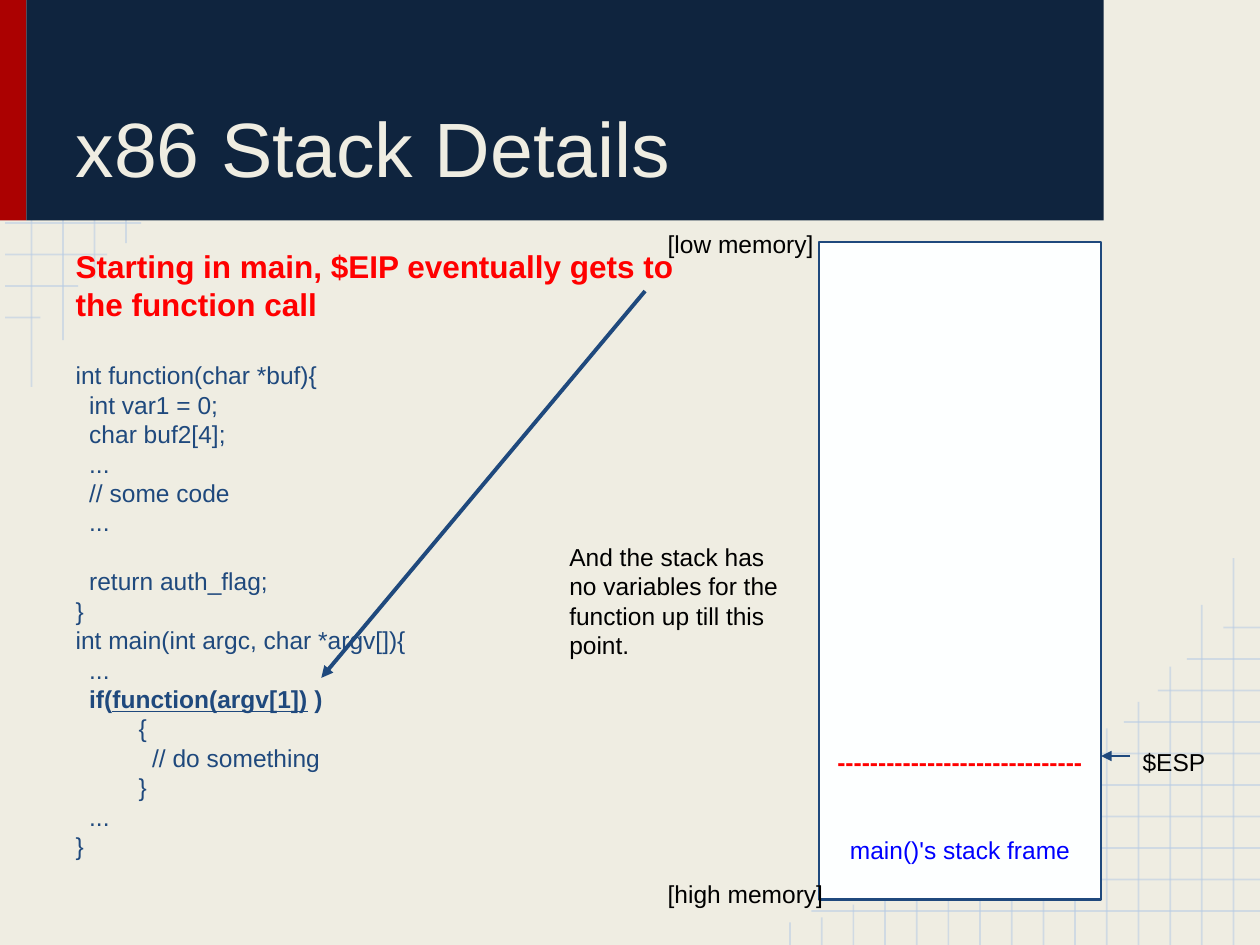
import pptx
import pptx.dml.color
import pptx.enum.shapes
import pptx.enum.text
import pptx.oxml
import pptx.oxml.ns
import pptx.util

Inches = pptx.util.Inches
Pt = pptx.util.Pt
ANCHOR = pptx.enum.text.MSO_ANCHOR
ALIGN = pptx.enum.text.PP_ALIGN

CREAM, NAVY, BLUE, BLACK = "EFEDE2", "0F243E", "1F497D", "000000"
RED, GRID_BLUE = "FF0000", "B7CCE4"
GRID_STEP = 0.25
CODE_SIZE = 14

CODE_LINES = [
    "int function(char *buf){",
    "  int var1 = 0;",
    "  char buf2[4];",
    "  ...",
    "  // some code",
    "  ...",
    "  return auth_flag;",
    "}",
    "int main(int argc, char *argv[]){",
    "  ...",
    "  if(function(argv[1]) )",
    "{",
    "\t  // do something",
    "\t}",
    "  ...",
    "}",
]


def rgb(color):
    return pptx.dml.color.RGBColor.from_string(color)


def sub_element(parent, tag, **attributes):
    child = parent.makeelement(pptx.oxml.ns.qn(tag), attributes)
    parent.append(child)
    return child


def add_line(slide, start, end, color, width, opacity=None, arrow=False):
    """Draw a straight line between two (x, y) points in inches."""
    line = slide.shapes.add_connector(
        pptx.enum.shapes.MSO_CONNECTOR.STRAIGHT,
        *(Inches(value) for value in (*start, *end)))
    line.line.color.rgb = rgb(color)
    line.line.width = Pt(width)
    properties = line.element.spPr
    if opacity:
        color_element = properties.find(".//" + pptx.oxml.ns.qn("a:srgbClr"))
        sub_element(color_element, "a:alpha", val=str(opacity * 1000))
    if arrow:
        sub_element(line.line._get_or_add_ln(), "a:tailEnd", type="triangle")
    sub_element(properties, "a:effectLst")


def add_rectangle(slide, box, fill, outline=None):
    rectangle = slide.shapes.add_shape(
        pptx.enum.shapes.MSO_SHAPE.RECTANGLE, *(Inches(value) for value in box))
    rectangle.shadow.inherit = False
    rectangle.fill.solid()
    rectangle.fill.fore_color.rgb = rgb(fill)
    if outline:
        rectangle.line.color.rgb = rgb(outline)
        rectangle.line.width = Pt(1.5)
    else:
        rectangle.line.fill.background()
    return rectangle


def set_frame(shape, anchor=ANCHOR.TOP):
    frame = shape.text_frame
    frame.word_wrap = True
    frame.auto_size = pptx.enum.text.MSO_AUTO_SIZE.NONE
    frame.vertical_anchor = anchor
    frame.margin_left = frame.margin_right = Inches(0.1)
    frame.margin_top = frame.margin_bottom = Inches(0.1)
    return frame


def add_run(paragraph, text, size, color, bold=False, underline=False):
    run = paragraph.add_run()
    run.text = text
    run.font.name = "Arial"
    run.font.size = Pt(size)
    run.font.color.rgb = rgb(color)
    run.font.bold = bold
    run.font.underline = underline


def add_paragraph(frame, first=False, size=CODE_SIZE, before=0, align=ALIGN.LEFT):
    paragraph = frame.paragraphs[0] if first else frame.add_paragraph()
    paragraph.alignment = align
    paragraph.line_spacing = Pt(line_height(size))
    paragraph.space_before = Pt(before)
    paragraph.space_after = Pt(0)
    return paragraph


def line_height(size):
    return round(size * 1.2, 1)


def add_label(slide, box, text):
    label = slide.shapes.add_textbox(*(Inches(value) for value in box))
    paragraph = add_paragraph(set_frame(label), first=True)
    add_run(paragraph, text, CODE_SIZE, BLACK)


def remove_bullet(paragraph, indent=0):
    properties = paragraph._p.get_or_add_pPr()
    properties.set("marL", "0")
    properties.set("indent", str(Inches(indent)))
    sub_element(properties, "a:buNone")


def place(placeholder, box):
    """Position a placeholder and bring it in front of what is drawn so far."""
    placeholder.left, placeholder.top, placeholder.width, placeholder.height = (
        Inches(value) for value in box)
    placeholder.element.getparent().append(placeholder.element)


def add_grids(slide):
    lines = []
    for row, right in enumerate([1.12, 0.85, 0.62, 0.32]):
        y = 1.77 + row * GRID_STEP
        lines.append(((0.04, y), (right, y)))
    for column, bottom in enumerate([3.07, 2.7, 2.21, 1.93], start=1):
        x = column * GRID_STEP
        lines.append(((x, bottom), (x, 1.7)))

    row_starts = [6.44, 7.08, 7.63, 7.96, 8.37, 8.67, 8.92, 9.19, 9.42, 9.71]
    for row, left in enumerate(row_starts):
        y = 7.23 - row * GRID_STEP
        lines.append(((10, y), (left, y)))
    column_tops = [4.43, 4.8, 5.29, 5.57, 5.78, 5.95, 6.19, 6.35,
                   6.54, 6.68, 6.86, 7.07, 7.18, 7.28, 7.32]
    column_step = (9.79 - 6.27) / (len(column_tops) - 1)
    for column, top in enumerate(column_tops):
        x = 9.79 - column * column_step
        lines.append(((x, top), (x, 7.5)))

    for start, end in lines:
        add_line(slide, start, end, GRID_BLUE, 1, opacity=54)


def fill_title(title):
    place(title, (0.5, 0.15, 8, 1.48))
    paragraph = set_frame(title, ANCHOR.BOTTOM).paragraphs[0]
    paragraph.alignment = ALIGN.LEFT
    add_run(paragraph, "x86 Stack Details", 44, CREAM)


def fill_code(body):
    place(body, (0.5, 1.86, 9, 5.29))
    frame = set_frame(body)
    heading = ["Starting in main, $EIP eventually gets to", "the function call"]
    for number, text in enumerate(heading):
        paragraph = add_paragraph(frame, first=number == 0, size=18)
        remove_bullet(paragraph)
        add_run(paragraph, text, 18, RED, bold=True)

    gaps = {0: line_height(18), 6: line_height(CODE_SIZE)}
    call = "function(argv[1])"
    for number, text in enumerate(CODE_LINES):
        paragraph = add_paragraph(frame, before=gaps.get(number, 0))
        remove_bullet(paragraph, indent=0.5 if text == "{" else 0)
        if call in text:
            opening, closing = text.split(call)
            add_run(paragraph, opening, CODE_SIZE, BLUE, bold=True)
            add_run(paragraph, call, CODE_SIZE, BLUE, bold=True, underline=True)
            add_run(paragraph, closing, CODE_SIZE, BLUE, bold=True)
        else:
            add_run(paragraph, text, CODE_SIZE, BLUE)


def add_stack(slide):
    stack = add_rectangle(slide, (6.5, 1.92, 2.24, 5.22), "FDFFFF", BLUE)
    frame = set_frame(stack, ANCHOR.BOTTOM)
    frame.margin_bottom = Inches(0.28)
    boundary = add_paragraph(frame, first=True, align=ALIGN.CENTER)
    add_run(boundary, "-" * 30, CODE_SIZE, RED, bold=True)
    main_frame = add_paragraph(
        frame, before=2 * line_height(CODE_SIZE), align=ALIGN.CENTER)
    add_run(main_frame, "main()'s stack frame", CODE_SIZE, "0000FF")


def main():
    deck = pptx.Presentation()
    deck.slide_width, deck.slide_height = Inches(10), Inches(7.5)
    slide = deck.slides.add_slide(deck.slide_layouts[1])
    slide.background.fill.solid()
    slide.background.fill.fore_color.rgb = rgb(CREAM)

    add_grids(slide)
    add_rectangle(slide, (0, 0, 0.21, 1.75), "AB0101")
    add_rectangle(slide, (0.21, 0, 8.55, 1.75), NAVY)
    fill_title(slide.shapes.title)
    fill_code(slide.placeholders[1])
    add_stack(slide)

    add_label(slide, (5.2, 6.88, 1.58, 0.39), "[high memory]")
    add_label(slide, (5.2, 1.72, 1.58, 0.39), "[low memory]")
    add_line(slide, (5.12, 2.31), (2.55, 5.38), BLUE, 2.25, arrow=True)
    add_label(slide, (4.42, 4.2, 2, 1.79),
              "And the stack has no variables for the function up till this point.")
    add_label(slide, (8.97, 5.83, 0.97, 0.34), "$ESP")
    add_line(slide, (8.97, 6), (8.74, 6), BLUE, 1.5, arrow=True)

    deck.save("out.pptx")


if __name__ == "__main__":
    main()
